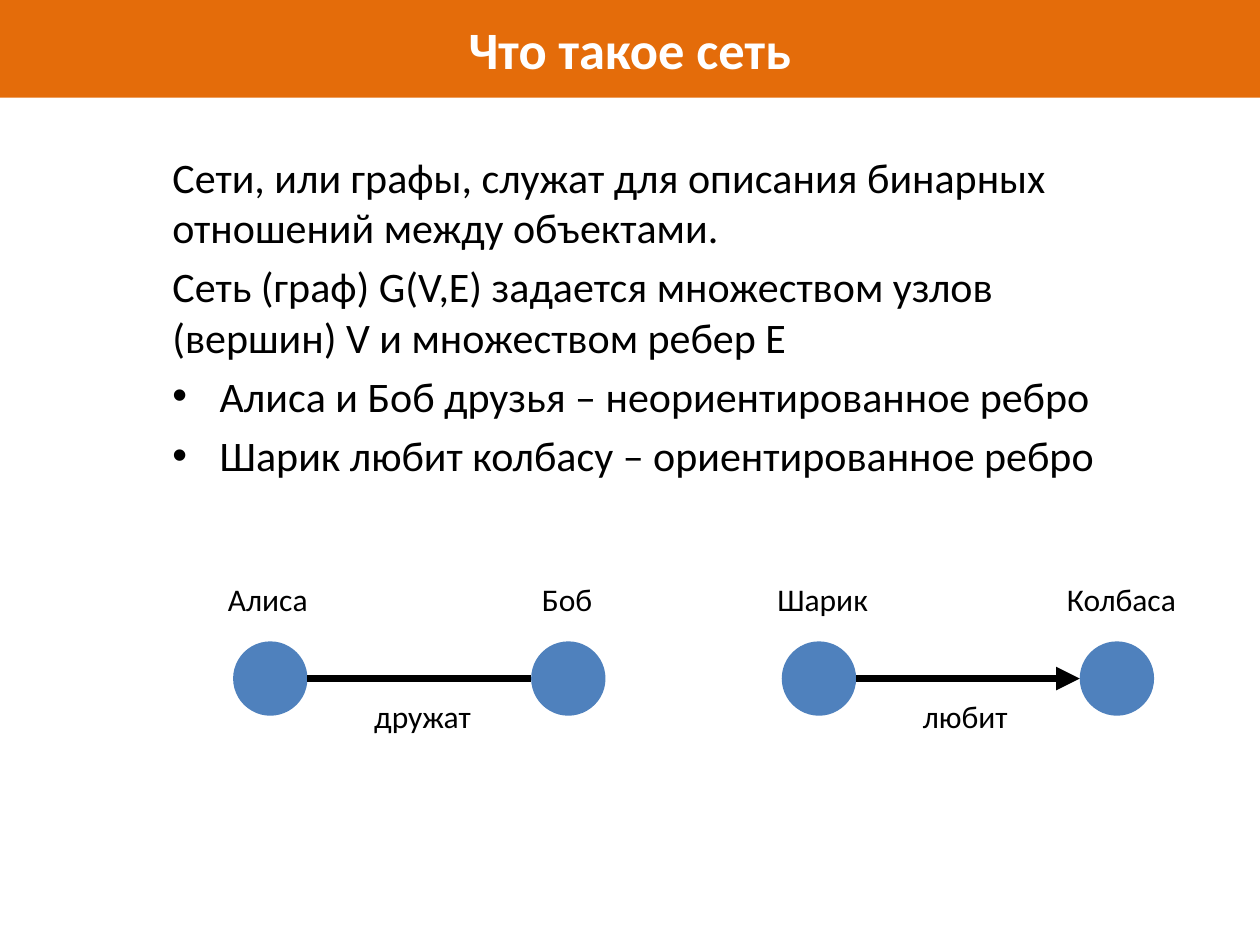
from lxml import etree
from pptx import Presentation
from pptx.dml.color import RGBColor
from pptx.enum import shapes, text
from pptx.oxml import ns
from pptx.util import Pt

ORANGE = RGBColor(0xE4, 0x6C, 0x0A)
BLUE = RGBColor(0x4F, 0x81, 0xBD)
BLACK = RGBColor(0, 0, 0)
WHITE = RGBColor(255, 255, 255)

TITLE_FONT = {"name": "Calibri", "size": Pt(30), "bold": True}
BODY_FONT = {"name": "Calibri", "size": Pt(24), "bold": False}
LABEL_FONT = {"name": "Calibri", "size": Pt(18), "bold": False}

NODE_SIZE = 42.5
NODE_STEP = 170.3
LABEL_HEIGHT = 29

INTRO = [
    "Сети, или графы, служат для описания бинарных отношений между объектами.",
    "Сеть (граф) G(V,E) задается множеством узлов (вершин) V и множеством ребер E",
]
EXAMPLES = [
    "Алиса и Боб друзья – неориентированное ребро",
    "Шарик любит колбасу – ориентированное ребро",
]


def place(shape, box):
    """Move a shape to a box of left, top, width and height in points."""
    for name, value in zip(("left", "top", "width", "height"), box):
        setattr(shape, name, Pt(value))


def write(para, words, style, color):
    """Add a formatted span of words to a paragraph."""
    span = para.add_run()
    span.text = words
    for name, value in style.items():
        setattr(span.font, name, value)
    span.font.color.rgb = color


def add_title(page, box, words):
    """Turn the title placeholder into a filled heading band."""
    title = page.shapes.title
    place(title, box)
    title.fill.solid()
    title.fill.fore_color.rgb = ORANGE
    frame = title.text_frame
    frame.auto_size = text.MSO_AUTO_SIZE.NONE
    frame.vertical_anchor = text.MSO_ANCHOR.MIDDLE
    para = frame.paragraphs[0]
    para.alignment = text.PP_ALIGN.CENTER
    write(para, words, TITLE_FONT, WHITE)


def add_body(page, box):
    """Fill the body placeholder with plain paragraphs and bulleted examples."""
    body = page.placeholders[1]
    place(body, box)
    frame = body.text_frame
    frame.auto_size = text.MSO_AUTO_SIZE.NONE
    for index, words in enumerate(INTRO + EXAMPLES):
        para = frame.add_paragraph() if index else frame.paragraphs[0]
        para.level = 1
        bulleted = words in EXAMPLES
        props = para._p.get_or_add_pPr()
        props.set("marL", str(Pt(58.5 if bulleted else 31.5)))
        props.set("indent", str(Pt(-27 if bulleted else 0)))
        if bulleted:
            etree.SubElement(props, ns.qn("a:buFont"), typeface="Arial")
            etree.SubElement(props, ns.qn("a:buChar"), char="•")
        else:
            etree.SubElement(props, ns.qn("a:buNone"))
        para.space_before = Pt(5 if index else 0)
        write(para, words, BODY_FONT, BLACK)


def add_label(page, left, top, width, words):
    """Add a small text box with one line."""
    label = page.shapes.add_textbox(Pt(left), Pt(top), Pt(width), Pt(LABEL_HEIGHT))
    label.text_frame.word_wrap = True
    write(label.text_frame.paragraphs[0], words, LABEL_FONT, BLACK)


def add_edge(page, start, end, y, directed):
    """Draw a horizontal edge, with an arrowhead when directed."""
    edge = page.shapes.add_connector(
        shapes.MSO_CONNECTOR.STRAIGHT, Pt(start), Pt(y), Pt(end), Pt(y))
    edge.line.width = Pt(4.5)
    edge.line.color.rgb = BLACK
    if directed:
        etree.SubElement(edge.line._get_or_add_ln(), ns.qn("a:tailEnd"), type="triangle")
    etree.SubElement(edge._element.spPr, ns.qn("a:effectLst"))


def add_graph(page, left, top, names, shifts, relation, directed):
    """Draw two named nodes joined by a labelled edge."""
    node_top = top + 38.9
    for index, (name, shift) in enumerate(zip(names, shifts)):
        node_left = left + index * NODE_STEP
        node = page.shapes.add_shape(
            shapes.MSO_SHAPE.OVAL, Pt(node_left), Pt(node_top), Pt(NODE_SIZE), Pt(NODE_SIZE))
        node.shadow.inherit = False
        node.fill.solid()
        node.fill.fore_color.rgb = BLUE
        node.line.fill.background()
        add_label(page, node_left + shift, top, 89.3, name)
    add_edge(page, left + NODE_SIZE, left + NODE_STEP,
             node_top + NODE_SIZE / 2, directed)
    add_label(page, left + 73.6, top + 67, 81.4, relation)


def main():
    """Build the slide and save it."""
    deck = Presentation()
    deck.slide_width, deck.slide_height = Pt(720), Pt(540)
    page = deck.slides.add_slide(deck.slide_layouts[1])
    add_title(page, (0, -0.7, 720, 56.5), "Что такое сеть")
    add_body(page, (59.8, 82.8, 583.9, 221))
    add_graph(page, 133.2, 327.6, ("Алиса", "Боб"), (-10, -0.9), "дружат", False)
    add_graph(page, 446.7, 327.6, ("Шарик", "Колбаса"), (-9.6, -14.4), "любит", True)
    deck.save("out.pptx")


if __name__ == "__main__":
    main()
